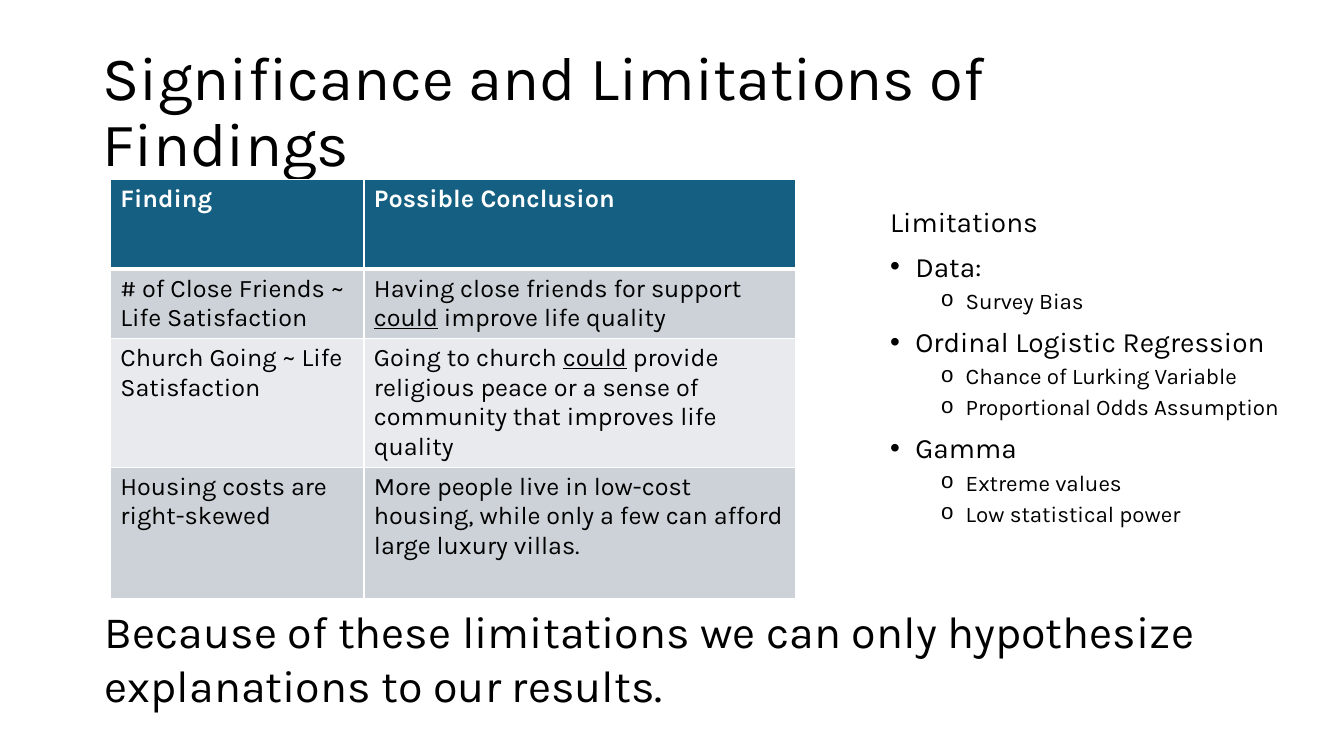
from lxml.etree import SubElement
from pptx import Presentation
from pptx.dml.color import RGBColor
from pptx.enum.text import MSO_ANCHOR as Anchor, MSO_AUTO_SIZE as AutoSize, PP_ALIGN as Align
from pptx.oxml import parse_xml
from pptx.oxml.ns import nsdecls, qn
from pptx.util import Pt

FONT = "Karla"
BLACK = RGBColor(0x00, 0x00, 0x00)
WHITE = RGBColor(0xFF, 0xFF, 0xFF)
TEAL = RGBColor(0x15, 0x60, 0x82)
GREY = RGBColor(0xCC, 0xD2, 0xD8)
PALE = RGBColor(0xE8, 0xEA, 0xED)

FINDINGS = [
    ("Finding", ["Possible Conclusion"]),
    ("# of Close Friends ~ Life Satisfaction",
     ["Having close friends for support ", "could", " improve life quality"]),
    ("Church Going ~ Life Satisfaction",
     ["Going to church ", "could",
      " provide religious peace or a sense of community that improves life quality"]),
    ("Housing costs are right-skewed",
     ["More people live in low-cost housing, while only a few can afford large luxury villas."]),
]
LIMITATIONS = [
    ("Data:", ["Survey Bias"]),
    ("Ordinal Logistic Regression",
     ["Chance of Lurking Variable", "Proportional Odds Assumption"]),
    ("Gamma", ["Extreme values", "Low statistical power"]),
]


def place(sp, box):
    sp.left, sp.top, sp.width, sp.height = (Pt(v) for v in box)


def format_runs(p, size, color=BLACK, bold=False):
    for r in p.runs:
        r.font.name = FONT
        r.font.size = Pt(size)
        r.font.color.rgb = color
        r.font.bold = bold


def set_bullet(p, margin, indent, char=None, font=None):
    pPr = p._p.get_or_add_pPr()
    pPr.set("marL", str(Pt(margin)))
    pPr.set("indent", str(Pt(indent)))
    if char:
        SubElement(pPr, qn("a:buFont")).set("typeface", font)
        SubElement(pPr, qn("a:buChar")).set("char", char)
    else:
        SubElement(pPr, qn("a:buNone"))


def set_borders(cell, bottom):
    tcPr = cell._tc.get_or_add_tcPr()
    for i, (side, width) in enumerate([("L", 1), ("R", 1), ("T", 1), ("B", bottom)]):
        tcPr.insert(i, parse_xml(
            f'<a:ln{side} {nsdecls("a")} w="{Pt(width)}"><a:solidFill>'
            f'<a:srgbClr val="{WHITE}"/></a:solidFill></a:ln{side}>'))


def add_title(s, box):
    sp = s.shapes.title
    place(sp, box)
    tf = sp.text_frame
    tf.text = "Significance and Limitations of Findings"
    tf.auto_size = AutoSize.NONE
    tf.vertical_anchor = Anchor.MIDDLE
    p = tf.paragraphs[0]
    p.alignment = Align.LEFT
    p.line_spacing = 0.9
    format_runs(p, 44)


def add_findings(s, box):
    sp = s.shapes.add_table(len(FINDINGS), 2, *(Pt(v) for v in box))
    table = sp.table
    for col, share in zip(table.columns, (0.37, 0.63)):
        col.width = Pt(round(box[2] * share, 2))
    for row, height in zip(table.rows, (64, 49, 92, 94)):
        row.height = Pt(height)
    for i, (finding, conclusion) in enumerate(FINDINGS):
        header = i == 0
        for j, parts in enumerate(([finding], conclusion)):
            cell = table.cell(i, j)
            cell.fill.solid()
            cell.fill.fore_color.rgb = TEAL if header else GREY if i % 2 else PALE
            set_borders(cell, 3 if header else 1)
            p = cell.text_frame.paragraphs[0]
            for part in parts:
                r = p.add_run()
                r.text = part
                r.font.underline = part == "could"
            format_runs(p, 18, WHITE if header else BLACK, header)


def add_limitations(s, box):
    sp = s.placeholders[1]
    place(sp, box)
    tf = sp.text_frame
    tf.auto_size = AutoSize.NONE
    tf.vertical_anchor = Anchor.TOP
    lines = [("Limitations", 0, (0, 0))]
    for topic, points in LIMITATIONS:
        lines.append((topic, 0, (18, -18, "•", "Arial")))
        lines += [(point, 1, (54, -18, "o", "Courier New")) for point in points]
    tf.text = "\n".join(text for text, _, _ in lines)
    for p, (_, level, bullet) in zip(tf.paragraphs, lines):
        p.level = level
        p.line_spacing = 0.9
        p.space_before = Pt(5 if level else 10)
        set_bullet(p, *bullet)
        format_runs(p, 16 if level else 20)


def add_summary(s, box):
    tf = s.shapes.add_textbox(*(Pt(v) for v in box)).text_frame
    tf.word_wrap = True
    tf.auto_size = AutoSize.SHAPE_TO_FIT_TEXT
    tf.text = "Because of these limitations we can only hypothesize explanations to our results."
    format_runs(tf.paragraphs[0], 32)


def main():
    prs = Presentation()
    prs.slide_width, prs.slide_height = Pt(960), Pt(540)
    s = prs.slides.add_slide(prs.slide_layouts[1])
    add_title(s, (66, 28.8, 828, 104.4))
    add_findings(s, (78.8, 128.3, 489.6, 299))
    add_limitations(s, (628.6, 145.4, 309, 249))
    add_summary(s, (67.8, 427.8, 823, 85))
    prs.save("out.pptx")


if __name__ == "__main__":
    main()
